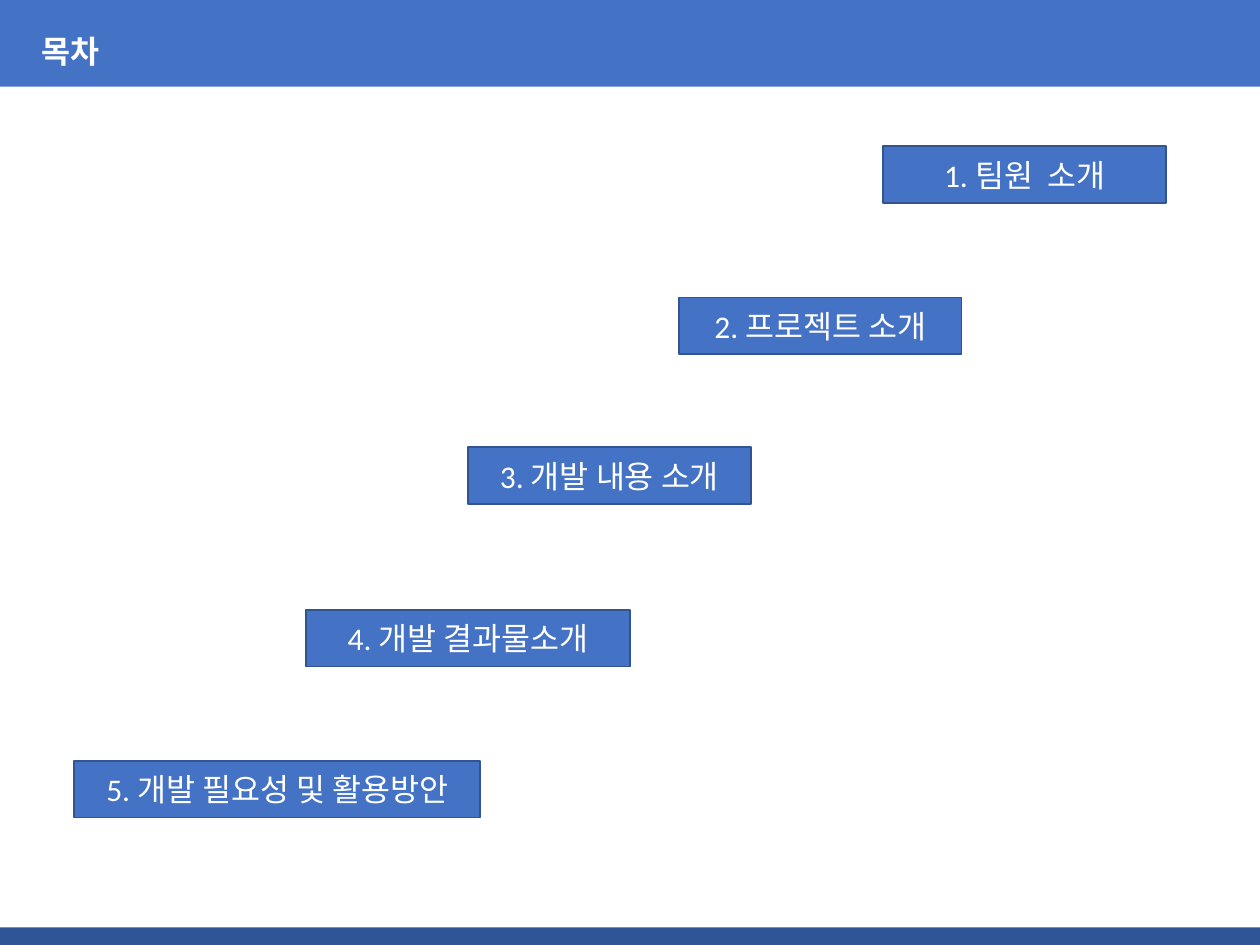
from pptx import Presentation
from pptx.dml.color import RGBColor
from pptx.enum.shapes import MSO_SHAPE
from pptx.enum.text import MSO_ANCHOR, MSO_AUTO_SIZE, PP_ALIGN
from pptx.util import Pt

RECTANGLE = MSO_SHAPE.RECTANGLE
MIDDLE, TOP = MSO_ANCHOR.MIDDLE, MSO_ANCHOR.TOP
FIT_SHAPE = MSO_AUTO_SIZE.SHAPE_TO_FIT_TEXT
CENTER, LEFT = PP_ALIGN.CENTER, PP_ALIGN.LEFT

COLORS = {"blue": "4472C4", "navy": "2F5597", "border": "325491", "white": "FFFFFF"}
SLIDE_WIDTH, SLIDE_HEIGHT = 720, 540
BOX_HEIGHT = 32.4


def add_rectangle(left, top, width, height, fill):
    shape = slide.shapes.add_shape(RECTANGLE, Pt(left), Pt(top), Pt(width), Pt(height))
    shape.shadow.inherit = False
    shape.fill.solid()
    shape.fill.fore_color.rgb = RGBColor.from_string(COLORS[fill])
    shape.line.fill.background()
    return shape


def format_text(shape, text, font_name, alignment, anchor):
    frame = shape.text_frame
    frame.text = text
    frame.vertical_anchor = anchor
    paragraph = frame.paragraphs[0]
    paragraph.alignment = alignment
    paragraph.font.name = font_name
    paragraph.font.size = Pt(18)
    paragraph.font.color.rgb = RGBColor.from_string(COLORS["white"])
    return paragraph


presentation = Presentation()
presentation.slide_width = Pt(SLIDE_WIDTH)
presentation.slide_height = Pt(SLIDE_HEIGHT)
slide = presentation.slides.add_slide(presentation.slide_layouts[5])

header = add_rectangle(0, -3, SLIDE_WIDTH, 52.5, "blue")
title = slide.shapes.title
title.element.addprevious(header.element)
title.left, title.top, title.width, title.height = Pt(16.6), Pt(14.4), Pt(51), Pt(29)
format_text(title, "목차", "Arial", LEFT, TOP).font.bold = True
title.text_frame.word_wrap = False
title.text_frame.auto_size = FIT_SHAPE

add_rectangle(0, 530, SLIDE_WIDTH, 10, "navy")

contents = [
    ("팀원  소개", 504.7, 83.5, 161.5),
    ("프로젝트 소개", 388, 170, 161.5),
    ("개발 내용 소개", 267.5, 255.5, 161.5),
    ("개발 결과물소개", 175, 348.5, 185),
    ("개발 필요성 및 활용방안", 42.5, 434.8, 232),
]
for number, (label, left, top, width) in enumerate(contents, start=1):
    box = add_rectangle(left, top, width, BOX_HEIGHT, "blue")
    box.line.color.rgb = RGBColor.from_string(COLORS["border"])
    box.line.width = Pt(1)
    format_text(box, f"{number}. {label}", "Calibri", CENTER, MIDDLE)

presentation.save("out.pptx")
